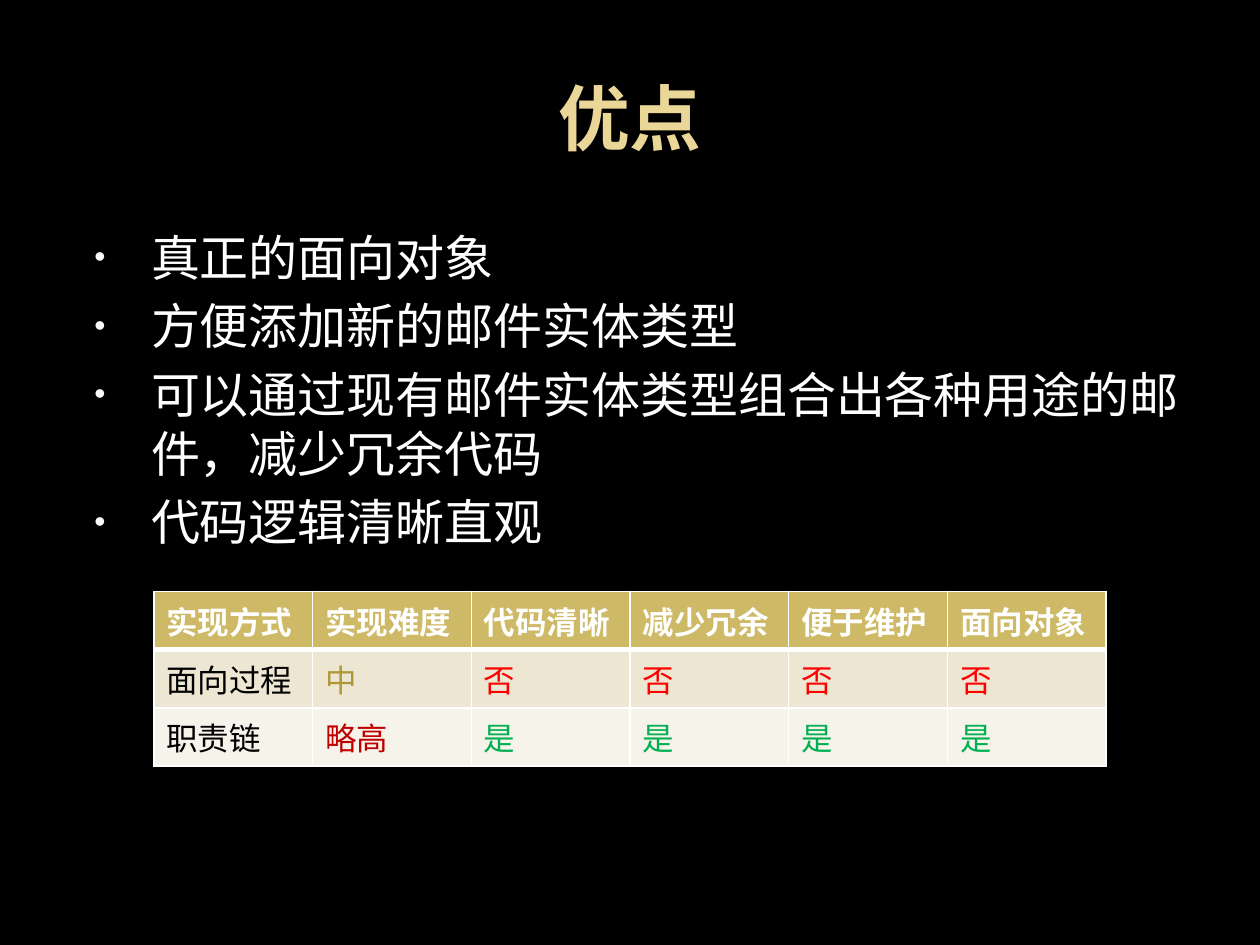
from dataclasses import dataclass
from lxml import etree
from pptx import Presentation
from pptx.dml.color import RGBColor as Rgb
from pptx.enum import text
from pptx.oxml import ns
from pptx.util import Cm, Pt


@dataclass
class Theme:
    """Colours, fonts and type sizes of the slide."""
    back: str = "000000"
    gold: str = "EAD696"
    white: str = "FFFFFF"
    dot: str = "F9F9F9"
    head: str = "CEB966"
    bands: tuple = ("EDE6D3", "F6F3EA")
    ink: str = "000000"
    mid: str = "AF9738"
    high: str = "C00000"
    no: str = "FF0000"
    yes: str = "00B050"
    sans: str = "Open Sans"
    serif: str = "Vollkorn"
    big: int = 41
    list: int = 28
    cell: int = 18


def write(para, words, face, size, color, bold=False):
    """Add one styled run to a paragraph."""
    run = para.add_run()
    run.text = words
    font = run.font
    font.name, font.size, font.bold = face, Pt(size), bold
    font.color.rgb = Rgb.from_string(color)


def add(parent, tag, **attrs):
    """Append a DrawingML element and return it."""
    return etree.SubElement(parent, ns.qn("a:" + tag), attrs)


look = Theme()
deck = Presentation()
deck.slide_width, deck.slide_height = Cm(25.4), Cm(19.05)
slide = deck.slides.add_slide(deck.slide_layouts[1])
slide.background.fill.solid()
slide.background.fill.fore_color.rgb = Rgb.from_string(look.back)

# Title
title, body = slide.placeholders
title.left, title.top, title.width, title.height = Cm(1.27), Cm(0.76), Cm(22.86), Cm(3.18)
title.text_frame.vertical_anchor = text.MSO_ANCHOR.MIDDLE
para = title.text_frame.paragraphs[0]
para.alignment = text.PP_ALIGN.CENTER
write(para, "优点", look.sans, look.big, look.gold, True)

# Bullet list, with the paragraph gaps of the template
body.left, body.top, body.width, body.height = Cm(1.27), Cm(4.45), Cm(22.86), Cm(13.08)
points = [
    "真正的面向对象",
    "方便添加新的邮件实体类型",
    "可以通过现有邮件实体类型组合出各种用途的邮件，减少冗余代码",
    "代码逻辑清晰直观",
]
frame = body.text_frame
for i, point in enumerate(points):
    para = frame.add_paragraph() if i else frame.paragraphs[0]
    props = para._p.get_or_add_pPr()
    props.set("marL", str(Cm(1.52)))
    props.set("indent", str(Cm(-1.14)))
    add(add(props, "buClr"), "srgbClr", val=look.dot)
    add(props, "buSzPct", val="65000")
    add(props, "buChar", char="•")
    write(para, point, look.serif, look.list, look.white)

# Comparison table
heads = ["实现方式", "实现难度", "代码清晰", "减少冗余", "便于维护", "面向对象"]
rows = [
    [(head, look.white) for head in heads],
    [("面向过程", look.ink), ("中", look.mid)] + [("否", look.no)] * 4,
    [("职责链", look.ink), ("略高", look.high)] + [("是", look.yes)] * 4,
]
fills = [look.head, *look.bands]
table = slide.shapes.add_table(
    len(rows), len(heads), Cm(3.1), Cm(11.92), Cm(19.2), Cm(3.12)).table
for col in table.columns:
    col.width = Cm(3.2)
for r, row in enumerate(rows):
    table.rows[r].height = Cm(1.04)
    for c, (words, color) in enumerate(row):
        cell = table.cell(r, c)
        write(cell.text_frame.paragraphs[0], words, look.serif, look.cell, color, r == 0)
        props = cell._tc.get_or_add_tcPr()
        for side in "LRTB":
            thick = (r, side) in ((0, "B"), (1, "T"))
            line = add(props, "ln" + side, w=str(Pt(3 if thick else 1)))
            add(add(line, "solidFill"), "srgbClr", val=look.white)
        cell.fill.solid()
        cell.fill.fore_color.rgb = Rgb.from_string(fills[r])

deck.save("out.pptx")
